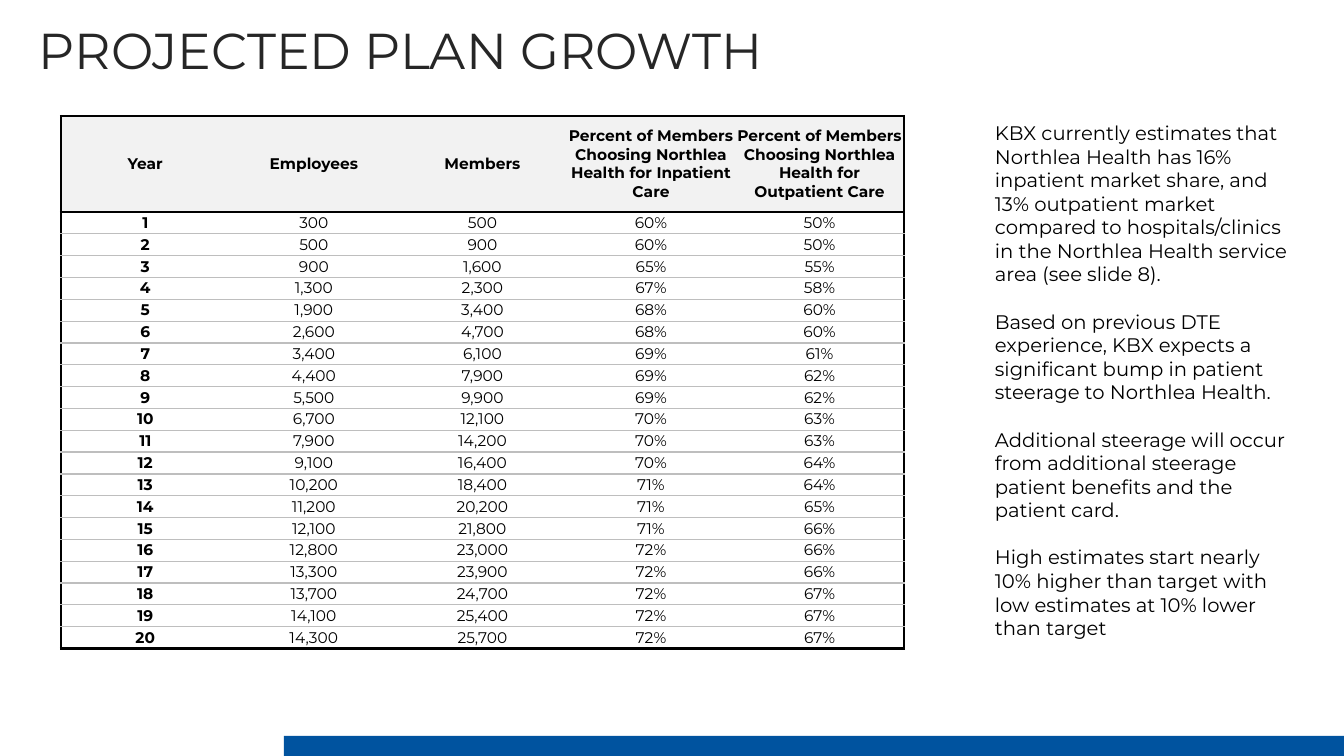
from lxml.etree import SubElement
from pptx import Presentation
from pptx.dml.color import RGBColor
from pptx.enum.shapes import MSO_SHAPE
from pptx.enum.text import MSO_ANCHOR, PP_ALIGN
from pptx.oxml.ns import qn
from pptx.util import Pt

# Content
TITLE = "PROJECTED PLAN GROWTH"
HEADS = [
    "Year", "Employees", "Members",
    "Percent of Members Choosing Northlea Health for Inpatient Care",
    "Percent of Members Choosing Northlea Health for Outpatient Care",
]
# Employees, members, inpatient %, outpatient % for each year
PLAN = [
    (300, 500, 60, 50), (500, 900, 60, 50), (900, 1600, 65, 55),
    (1300, 2300, 67, 58), (1900, 3400, 68, 60), (2600, 4700, 68, 60),
    (3400, 6100, 69, 61), (4400, 7900, 69, 62), (5500, 9900, 69, 62),
    (6700, 12100, 70, 63), (7900, 14200, 70, 63), (9100, 16400, 70, 64),
    (10200, 18400, 71, 64), (11200, 20200, 71, 65), (12100, 21800, 71, 66),
    (12800, 23000, 72, 66), (13300, 23900, 72, 66), (13700, 24700, 72, 67),
    (14100, 25400, 72, 67), (14300, 25700, 72, 67),
]
NOTES = [
    "KBX currently estimates that Northlea Health has 16% inpatient market "
    "share, and 13% outpatient market compared to hospitals/clinics in the "
    "Northlea Health service area (see slide 8).",
    "Based on previous DTE experience, KBX expects a significant bump in "
    "patient steerage to Northlea Health.",
    "Additional steerage will occur from additional steerage patient "
    "benefits and the patient card.",
    "High estimates start nearly 10% higher than target with low estimates "
    "at 10% lower than target",
]

# Look
FONT = "Montserrat"
BLACK = RGBColor(0x00, 0x00, 0x00)
INK = RGBColor(0x26, 0x26, 0x26)
GRAY = RGBColor(0xBE, 0xBE, 0xBE)
PALE = RGBColor(0xF2, 0xF2, 0xF2)
BLUE = RGBColor(0x00, 0x53, 0x9F)
THICK, THIN = (BLACK, 2), (GRAY, 1)
PLAIN = "{2D5ABB26-0587-4C30-8999-92F81FD0307C}"  # table style without grid

# Places in px
WIDE, HIGH = 1344, 756
GRID = (61, 116, 843, 533)
HEAD = 96


def px(num):
    return round(num * 12192000 / WIDE)


def style(para, size, color, bold=False):
    font = para.font
    font.name, font.size, font.bold = FONT, Pt(size), bold
    font.color.rgb = color


def add_text(slide, box, texts, size, color, gap=0):
    frame = slide.shapes.add_textbox(*map(px, box)).text_frame
    frame.word_wrap = True
    for i, text in enumerate(texts):
        para = frame.add_paragraph() if i else frame.paragraphs[0]
        para.text = text
        if i:
            para.space_before = Pt(gap)
        style(para, size, color)
    return frame


def add_edges(cell, edges):
    props = cell._tc.get_or_add_tcPr()
    for i, (side, (color, width)) in enumerate(edges):
        line = SubElement(props, qn("a:ln" + side), w=str(Pt(width)))
        fill = SubElement(line, qn("a:solidFill"))
        SubElement(fill, qn("a:srgbClr"), val=str(color))
        props.insert(i, line)


def fill_cell(cell, text, row, col, last):
    cell.text = text
    cell.vertical_anchor = MSO_ANCHOR.MIDDLE
    cell.margin_left = cell.margin_right = 0
    cell.margin_top = cell.margin_bottom = 0
    para = cell.text_frame.paragraphs[0]
    para.alignment = PP_ALIGN.CENTER
    style(para, 11, BLACK, bold=row == 0 or col == 0)
    if row == 0:
        cell.fill.solid()
        cell.fill.fore_color.rgb = PALE
    else:
        cell.fill.background()
    edges = []
    if col == 0:
        edges.append(("L", THICK))
    if col == len(HEADS) - 1:
        edges.append(("R", THICK))
    edges.append(("T", THICK if row < 2 else THIN))
    edges.append(("B", THICK if row in (0, last) else THIN))
    add_edges(cell, edges)


def add_grid(slide):
    rows = [HEADS]
    for year, (staff, members, inp, out) in enumerate(PLAN, 1):
        rows.append([str(year), f"{staff:,}", f"{members:,}",
                     f"{inp}%", f"{out}%"])
    last = len(PLAN)
    table = slide.shapes.add_table(len(rows), len(HEADS), *map(px, GRID)).table
    table.first_row = table.horz_banding = False
    table._tbl.tblPr.find(qn("a:tableStyleId")).text = PLAIN
    for r, row in enumerate(rows):
        table.rows[r].height = px((GRID[3] - HEAD) / last if r else HEAD)
        for c, text in enumerate(row):
            fill_cell(table.cell(r, c), text, r, c, last)


def main():
    deck = Presentation()
    deck.slide_width, deck.slide_height = px(WIDE), px(HIGH)
    slide = deck.slides.add_slide(deck.slide_layouts[6])

    # Notes beside the table
    add_text(slide, (985, 116, 316, 532), NOTES, 14, BLACK, gap=17)

    # Title
    frame = add_text(slide, (29, -20, 1222, 146), [TITLE], 36, INK)
    frame.vertical_anchor = MSO_ANCHOR.MIDDLE
    frame.paragraphs[0].line_spacing = 0.9

    # Bottom bar
    bar = slide.shapes.add_shape(
        MSO_SHAPE.RECTANGLE, *map(px, (284, 736, WIDE - 284, HIGH - 736)))
    bar.shadow.inherit = False
    bar.fill.solid()
    bar.fill.fore_color.rgb = BLUE
    bar.line.fill.background()

    # Growth table
    add_grid(slide)
    deck.save("out.pptx")


if __name__ == "__main__":
    main()
